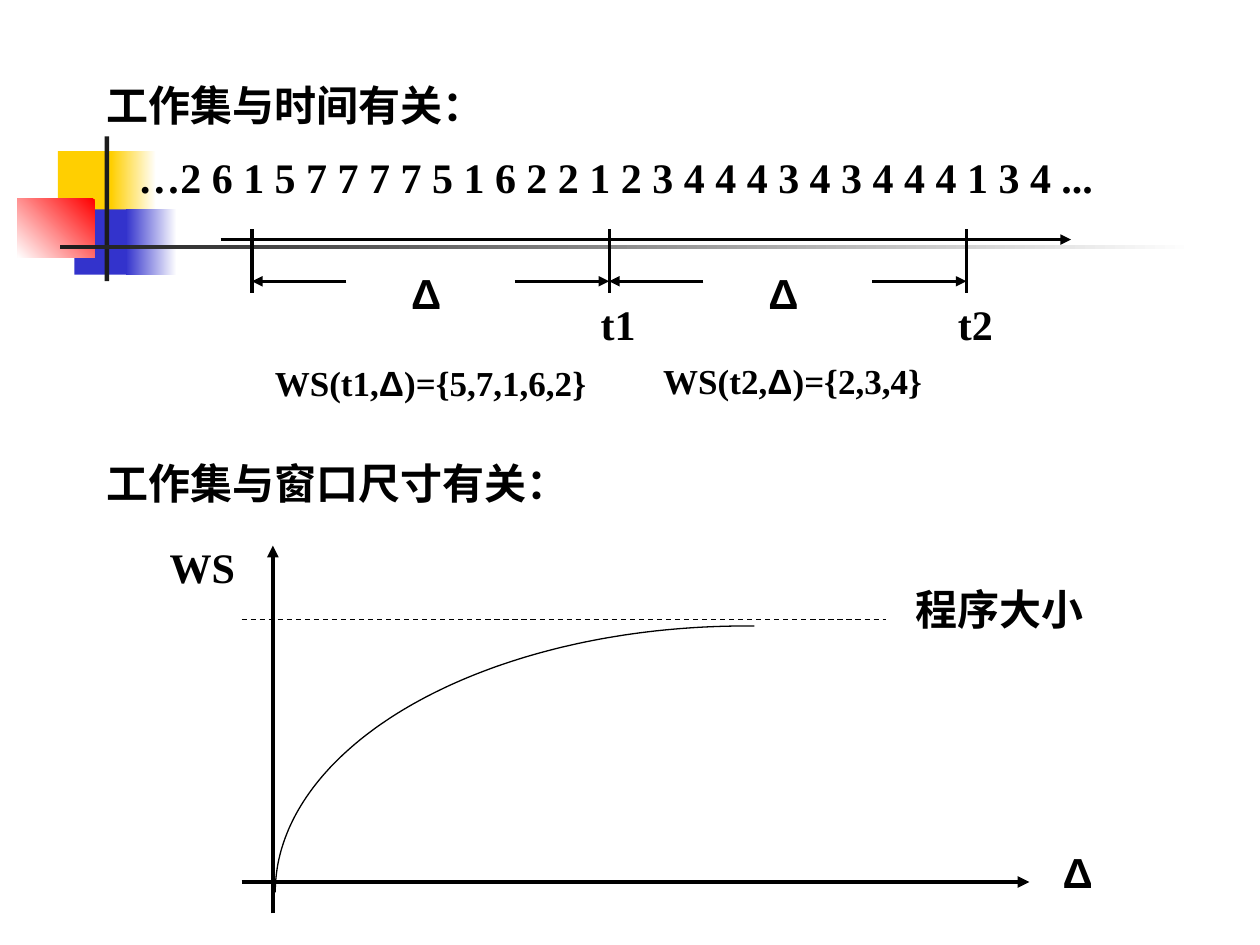
import math

from lxml import etree
from pptx import Presentation
from pptx.dml.color import RGBColor
from pptx.enum.dml import MSO_LINE
from pptx.enum.shapes import MSO_CONNECTOR, MSO_SHAPE
from pptx.oxml.ns import qn
from pptx.util import Cm, Pt

STRAIGHT = MSO_CONNECTOR.STRAIGHT
RECTANGLE = MSO_SHAPE.RECTANGLE
DASH = MSO_LINE.DASH

BLACK = RGBColor(0x00, 0x00, 0x00)
WHITE = RGBColor(0xFF, 0xFF, 0xFF)
YELLOW = RGBColor(0xFF, 0xCF, 0x01)
BLUE = RGBColor(0x33, 0x33, 0xCC)
RED = RGBColor(0xFF, 0x00, 0x00)
CHARCOAL = RGBColor(0x1C, 0x1C, 0x1C)

DELTA = "Δ"
LATIN_FONT, DELTA_FONT = "Times New Roman", "Arial"

prs = Presentation()
prs.slide_width, prs.slide_height = Cm(25.4), Cm(19.05)
slide = prs.slides.add_slide(prs.slide_layouts[6])
shapes = slide.shapes


def add_label(text, left, top, width, size=24):
    """Bold text box in which each delta is set in its own font."""
    box = shapes.add_textbox(Cm(left), Cm(top), Cm(width), Cm(size * 0.053))
    box.text_frame.word_wrap = True
    paragraph = box.text_frame.paragraphs[0]
    before, delta, after = text.partition(DELTA)
    for part in filter(None, (before, delta, after)):
        run = paragraph.add_run()
        run.text = part
        font_format = {
            "name": DELTA_FONT if part == DELTA else LATIN_FONT,
            "size": Pt(size),
            "bold": True,
        }
        for attribute, value in font_format.items():
            setattr(run.font, attribute, value)
        run.font.color.rgb = BLACK


def add_line(x1, y1, x2, y2, weight, arrow=False, dash=None):
    connector = shapes.add_connector(STRAIGHT, Cm(x1), Cm(y1), Cm(x2), Cm(y2))
    connector.line.color.rgb = BLACK
    connector.line.width = Pt(weight)
    if dash:
        connector.line.dash_style = dash
    if arrow:
        etree.SubElement(connector.line._get_or_add_ln(), qn("a:tailEnd"), type="triangle")
    etree.SubElement(connector._element.spPr, qn("a:effectLst"))


# Decoration: left, top, width, height, colours from first to last stop, angle
decoration = [
    (1.17, 3.05, 1.22, 1.32, [YELLOW], None),
    (2.24, 3.05, 0.91, 1.32, [WHITE, YELLOW], 180),
    (1.5, 4.22, 1.17, 1.32, [BLUE], None),
    (2.54, 4.22, 1.02, 1.32, [WHITE, BLUE], 180),
    (0.35, 4.01, 1.56, 1.18, [RED, WHITE], 225),
    (2.11, 2.75, 0.09, 2.92, [CHARCOAL], None),
    (1.22, 4.94, 22.86, 0.09, [WHITE, CHARCOAL], 180),
]
for left, top, width, height, colours, angle in decoration:
    block = shapes.add_shape(RECTANGLE, Cm(left), Cm(top), Cm(width), Cm(height))
    block.shadow.inherit = False
    block.line.fill.background()
    if angle is None:
        block.fill.solid()
        block.fill.fore_color.rgb = colours[0]
    else:
        block.fill.gradient()
        block.fill.gradient_angle = angle
        for stop, colour in zip(block.fill.gradient_stops, colours):
            stop.color.rgb = colour

# Working set against time
add_label("工作集与时间有关：", 1.9, 1.47, 20.52)
add_label(
    "…2 6 1 5 7 7 7 7 5 1 6 2 2 1 2 3 4 4 4 3 4 3 4 4 4 1 3 4 ...", 2.54, 2.92, 21.39
)
add_line(4.45, 4.83, 21.59, 4.83, 2, arrow=True)

timeline_start, window_width, arrow_length = 5.08, 7.2, 1.9
tick_top, tick_bottom, arrow_y = 4.62, 5.9, 5.67
for tick in range(3):
    tick_x = timeline_start + tick * window_width
    add_line(tick_x, tick_top, tick_x, tick_bottom, 1.75)

for window, time in enumerate(("t1", "t2")):
    start = timeline_start + window * window_width
    end = start + window_width
    add_line(start + arrow_length, arrow_y, start, arrow_y, 2, arrow=True)
    add_line(end - arrow_length, arrow_y, end, arrow_y, 2, arrow=True)
    add_label(DELTA, start + 2.96, 5.27, 1.48)
    add_label(time, end - 0.42, tick_bottom, 1.27)

add_label("WS(t1,Δ)={5,7,1,6,2}", 5.29, 7.17, 6.98, size=20)
add_label("WS(t2,Δ)={2,3,4}", 13.12, 7.12, 6.98, size=20)

# Working set against window size
add_label("工作集与窗口尺寸有关：", 1.9, 9.1, 20.52)
add_line(4.87, 17.78, 20.75, 17.78, 2.25, arrow=True)
add_line(5.5, 18.41, 5.5, 11, 2.25, arrow=True)
add_line(4.87, 12.49, 17.86, 12.49, 0.75, dash=DASH)
add_label("程序大小", 18.2, 11.64, 4.87)
add_label(DELTA, 21.17, 16.93, 1.9)
add_label("WS", 3.17, 10.79, 2.54)

# The growth curve is a quarter of an ellipse
centre_x, centre_y, radius_x, radius_y = 15.04, 17.99, 9.49, 5.37
curve_points = [
    (
        Cm(centre_x + radius_x * math.cos(math.radians(degrees))),
        Cm(centre_y + radius_y * math.sin(math.radians(degrees))),
    )
    for degrees in range(180, 272)
]
builder = shapes.build_freeform(*curve_points[0])
builder.add_line_segments(curve_points[1:], close=False)
growth_curve = builder.convert_to_shape()
growth_curve.shadow.inherit = False
growth_curve.fill.background()
growth_curve.line.color.rgb = BLACK
growth_curve.line.width = Pt(0.75)

prs.save("out.pptx")
